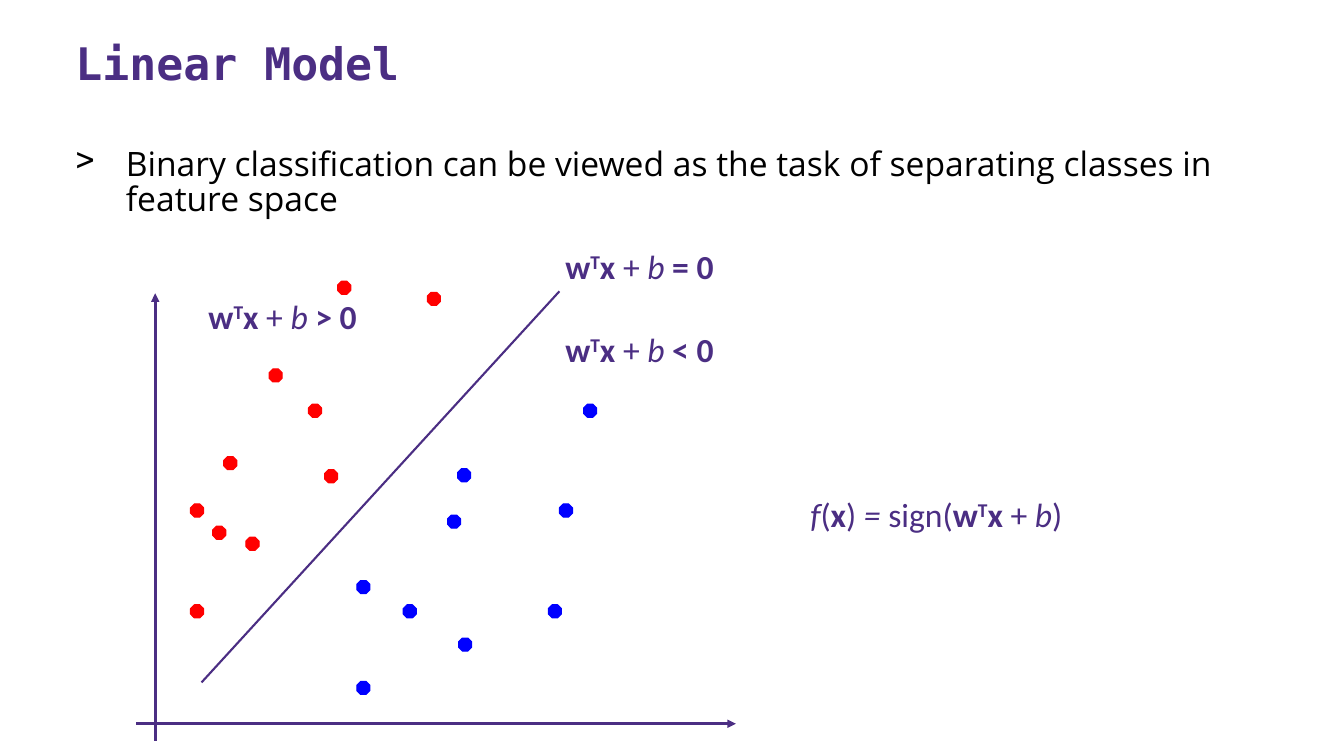
from dataclasses import dataclass

from lxml import etree
from pptx import Presentation
from pptx.dml.color import RGBColor
from pptx.enum.shapes import MSO_CONNECTOR, MSO_SHAPE
from pptx.enum.text import MSO_ANCHOR
from pptx.oxml.ns import qn
from pptx.util import Inches, Pt

LINE = MSO_CONNECTOR.STRAIGHT
DOT = MSO_SHAPE.OCTAGON
TOP, BASE = MSO_ANCHOR.TOP, MSO_ANCHOR.BOTTOM
COLS, ROWS = 133.33, 75


@dataclass(frozen=True)
class Theme:
    ink: str = "4B2E83"
    text: str = "000000"
    paper: str = "FFFFFF"
    red: str = "FF0000"
    blue: str = "0000FF"
    head: str = "DejaVu Sans Mono"
    body: str = "Open Sans"
    math: str = "Calibri"
    big: int = 32
    mid: int = 24
    axis: float = 2
    rule: float = 1.5
    edge: float = 0.75


def paint(fill, color):
    fill.solid()
    fill.fore_color.rgb = RGBColor.from_string(color)


class Board:
    def __init__(self, theme):
        self.theme = theme
        self.deck = Presentation()
        self.deck.slide_width = Inches(13.33)
        self.deck.slide_height = Inches(7.5)
        self.slide = self.deck.slides.add_slide(self.deck.slide_layouts[6])

    def grid(self, col, row):
        return (round(self.deck.slide_width * col / COLS),
                round(self.deck.slide_height * row / ROWS))

    def text(self, at, size, runs, font, points, color, anchor=TOP):
        box = self.slide.shapes.add_textbox(*self.grid(*at), *self.grid(*size))
        frame = box.text_frame
        frame.word_wrap = True
        frame.vertical_anchor = anchor
        para = frame.paragraphs[0]
        for words, style in runs:
            run = para.add_run()
            run.text = words
            looks = {"name": font, "size": Pt(points),
                     "bold": "b" in style, "italic": "i" in style}
            for key, value in looks.items():
                setattr(run.font, key, value)
            run.font.color.rgb = RGBColor.from_string(color)
            if "^" in style:
                run._r.get_or_add_rPr().set("baseline", "30000")
        return box

    def point(self, at, size, words):
        t = self.theme
        box = self.text(at, size, [(words, "")], t.body, t.mid, t.text)
        paint(box.fill, t.paper)
        para = box.text_frame.paragraphs[0]
        for key, value in {"line_spacing": 0.87, "space_before": Pt(2)}.items():
            setattr(para, key, value)
        props = para._p.get_or_add_pPr()
        for key, inch in {"marL": 0.5, "indent": -0.5}.items():
            props.set(key, str(Inches(inch)))
        etree.SubElement(props, qn("a:buChar")).set("char", ">")

    def math(self, at, width, runs):
        t = self.theme
        self.text(at, (width, 5), runs, t.math, t.mid, t.ink)

    def line(self, start, end, weight, arrow=False):
        link = self.slide.shapes.add_connector(
            LINE, *self.grid(*start), *self.grid(*end))
        paint(link.line.fill, self.theme.ink)
        link.line.width = Pt(weight)
        if arrow:
            tip = etree.SubElement(link.line._get_or_add_ln(), qn("a:tailEnd"))
            tip.set("type", "triangle")
        etree.SubElement(link._element.spPr, qn("a:effectLst"))

    def dots(self, spots, color):
        for spot in spots:
            dot = self.slide.shapes.add_shape(
                DOT, *self.grid(*spot), *self.grid(1.3, 1.3))
            dot.adjustments[0] = 0.293
            dot.shadow.inherit = False
            paint(dot.fill, color)
            paint(dot.line.fill, color)
            dot.line.width = Pt(self.theme.edge)


def main():
    theme = Theme()
    board = Board(theme)
    board.point((6.5, 14.2), (119.5, 10.4),
                "Binary classification can be viewed as the task of "
                "separating classes in feature space")
    board.text((6.5, 1.2), (119.5, 8.2), [("Linear Model", "b")],
               theme.head, theme.big, theme.ink, BASE)

    board.line((15.4, 73.5), (15.4, 29.1), theme.axis, True)
    board.line((13.5, 71.8), (73, 71.8), theme.axis, True)
    board.line((20, 67.7), (55.5, 28.9), theme.rule)

    reds = [(30.6, 40.1), (22.2, 45.3), (24.4, 53.3), (18.9, 60),
            (26.7, 36.6), (18.9, 50), (21.1, 52.2), (32.2, 46.6),
            (33.5, 27.9), (42.4, 29)]
    blues = [(45.4, 46.5), (40, 60), (54.4, 60), (35.4, 67.6),
             (44.4, 51.1), (35.4, 57.6), (45.5, 63.3), (55.5, 50),
             (57.9, 40.1)]
    board.dots(reds, theme.red)
    board.dots(blues, theme.blue)

    score = [("w", "b"), ("T", "b^"), ("x ", "b"), ("+ ", ""), ("b", "i")]
    for sign, at in {"=": (55.1, 23.9), "<": (55.1, 32.1),
                     ">": (19.7, 28.9)}.items():
        board.math(at, 38.9, score + [(f" {sign} 0", "b")])
    board.math((79.4, 48.5), 42.8,
               [("f", "i"), ("(", ""), ("x", "b"), (")", ""), (" = ", "i"),
                ("sign(", "")] + score + [(")", "")])

    board.deck.save("out.pptx")


if __name__ == "__main__":
    main()
